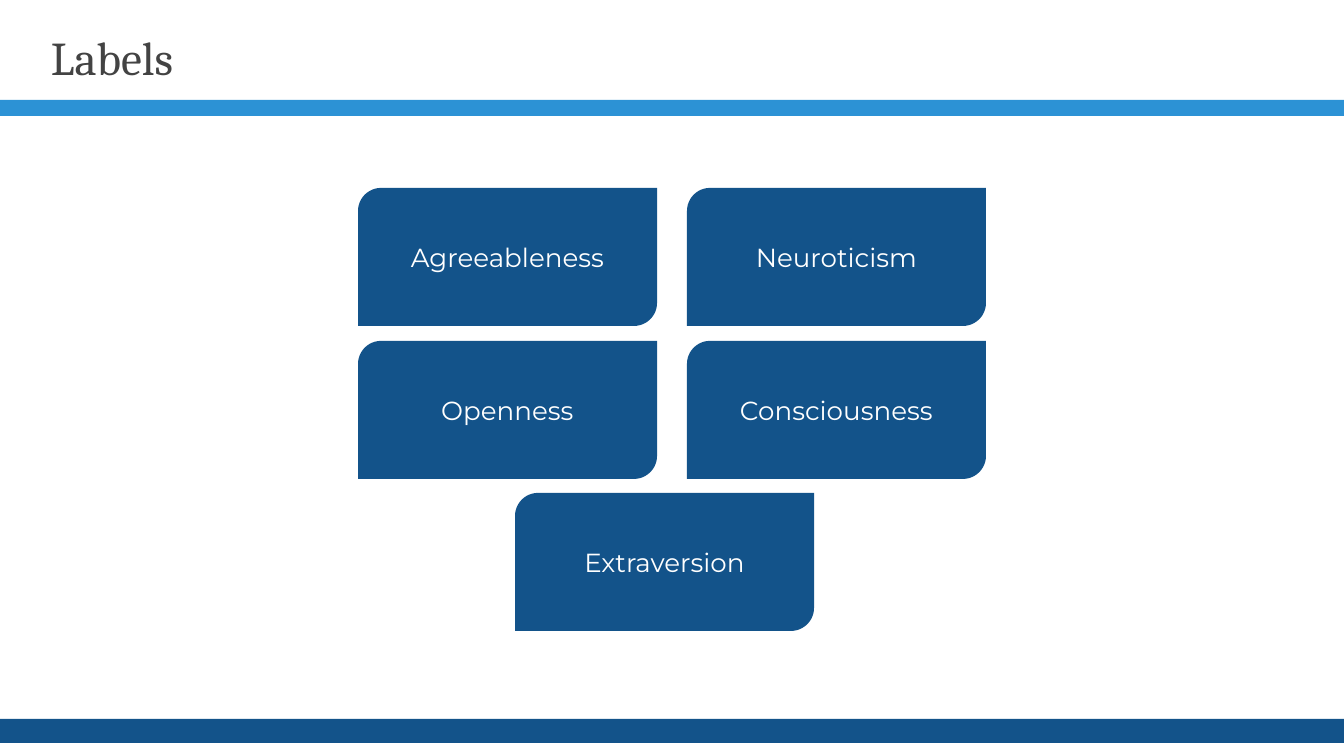
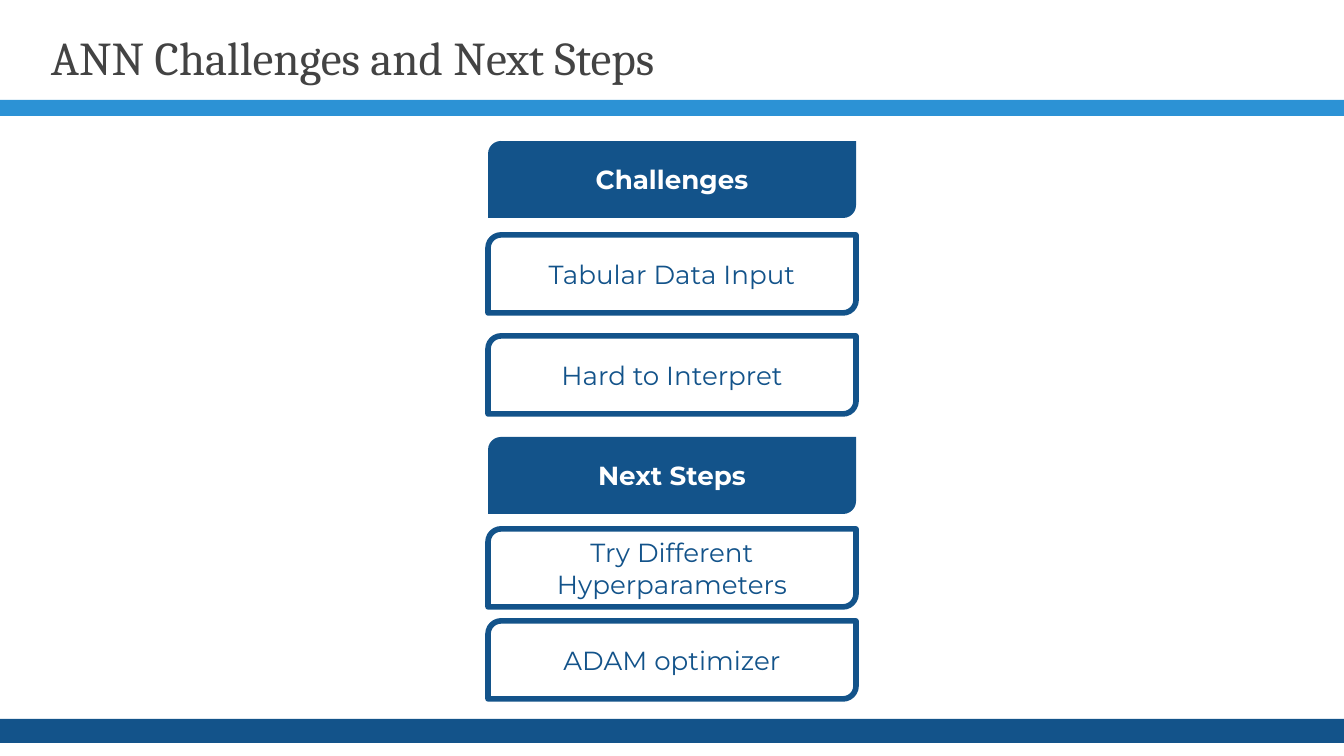
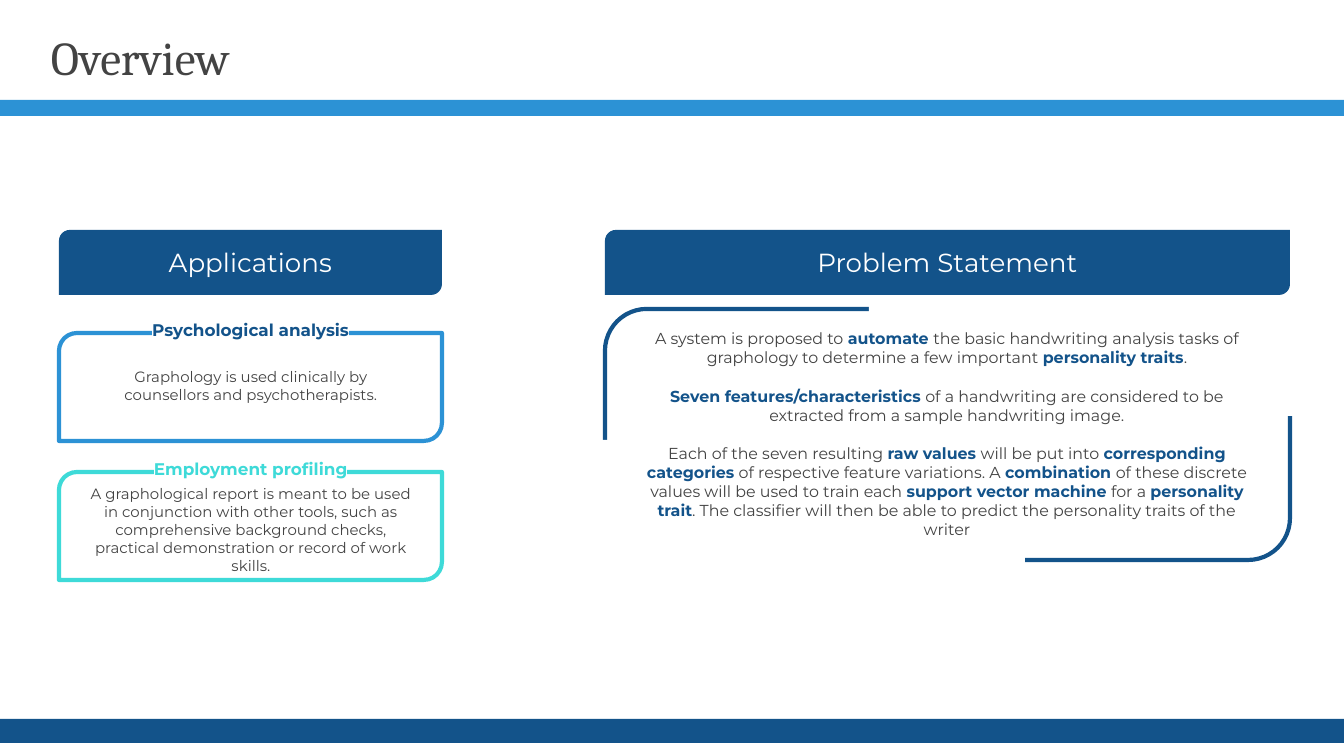
from dataclasses import dataclass
from itertools import product
from typing import Any

from lxml import etree
from pptx import Presentation
from pptx.dml.color import RGBColor
from pptx.enum.shapes import MSO_SHAPE
from pptx.enum.text import MSO_ANCHOR, MSO_AUTO_SIZE, PP_ALIGN
from pptx.oxml.ns import qn
from pptx.util import Emu, Pt

RECT = MSO_SHAPE.RECTANGLE
LEAF = MSO_SHAPE.ROUND_2_DIAG_RECTANGLE
MIDDLE = MSO_ANCHOR.MIDDLE
TOP = MSO_ANCHOR.TOP
LEFT = PP_ALIGN.LEFT
CENTER = PP_ALIGN.CENTER
GROW = MSO_AUTO_SIZE.SHAPE_TO_FIT_TEXT
FIXED = MSO_AUTO_SIZE.NONE

SCALE = 914400 / 134.4
WIDTH, HEIGHT = 1344, 756
INSET = 13
COLORS = {
    "navy": "13538A",
    "blue": "2C92D5",
    "aqua": "3EDAD8",
    "gray": "434343",
    "white": "FFFFFF",
}


@dataclass(frozen=True)
class Box:
    left: int
    top: int
    width: int
    height: int


@dataclass(frozen=True)
class Type:
    size: float
    color: str
    bold: bool = False
    font: str = "Montserrat"
    marked: bool = False
    align: Any = CENTER


@dataclass(frozen=True)
class Use:
    name: str
    text: str
    color: str
    ink: str
    top: int
    body: Box


TITLE = Type(25.2, "gray", font="Cambria", align=LEFT)
CARD = Type(14, "white")
HEAD = Type(14, "white", bold=True)
ITEM = Type(14, "navy")
NOTE = Type(8, "gray")
PROSE = Type(8.5, "gray")


def px(count: int) -> Emu:
    return Emu(round(count * SCALE))


def place(box: Box) -> tuple[Emu, Emu, Emu, Emu]:
    return px(box.left), px(box.top), px(box.width), px(box.height)


def paint(name: str) -> RGBColor:
    return RGBColor.from_string(COLORS[name])


def mark(run: Any) -> None:
    fill = run.font._element.find(qn("a:solidFill"))
    light = etree.Element(qn("a:highlight"))
    etree.SubElement(light, qn("a:srgbClr"), val=COLORS["white"])
    fill.addnext(light)


def write(shape: Any, lines: tuple[str, ...], style: Type,
          anchor: Any = TOP, fit: Any = FIXED, gap: float = 0) -> None:
    frame = shape.text_frame
    frame.word_wrap = True
    frame.auto_size = fit
    frame.vertical_anchor = anchor
    frame.margin_left = frame.margin_right = px(INSET)
    frame.margin_top = frame.margin_bottom = px(INSET)
    for index, line in enumerate(lines):
        para = frame.paragraphs[0] if index == 0 else frame.add_paragraph()
        para.alignment = style.align
        if index:
            para.space_before = Pt(gap)
        for part, words in enumerate(line.split("*")):
            if not words:
                continue
            strong = part % 2 == 1
            run = para.add_run()
            run.text = words
            run.font.name = style.font
            run.font.size = Pt(style.size)
            run.font.bold = style.bold or strong
            run.font.color.rgb = paint("navy" if strong else style.color)
            if style.marked:
                mark(run)


def draw(shapes: Any, kind: Any, box: Box, fill: str = "",
         line: str = "", weight: float = 0) -> Any:
    shape = shapes.add_shape(kind, *place(box))
    shape.shadow.inherit = False
    if fill:
        shape.fill.solid()
        shape.fill.fore_color.rgb = paint(fill)
    else:
        shape.fill.background()
    if line:
        shape.line.color.rgb = paint(line)
        shape.line.width = Pt(weight)
    else:
        shape.line.fill.background()
    return shape


def card(shapes: Any, box: Box, text: str, style: Type = CARD) -> None:
    write(draw(shapes, LEAF, box, fill="navy"), (text,), style, MIDDLE)


def label(shapes: Any, box: Box, lines: tuple[str, ...], style: Type,
          fit: Any = GROW, gap: float = 0) -> None:
    write(shapes.add_textbox(*place(box)), lines, style, fit=fit, gap=gap)


def start(deck: Any, title: str) -> Any:
    shapes = deck.slides.add_slide(deck.slide_layouts[6]).shapes
    draw(shapes, RECT, Box(0, 719, WIDTH, 24), fill="navy")
    draw(shapes, RECT, Box(0, 100, WIDTH, 16), fill="blue")
    label(shapes, Box(38, 16, 1253, 85), (title,), TITLE, FIXED)
    return shapes


def traits(deck: Any) -> None:
    shapes = start(deck, "Labels")
    names = ("Agreeableness", "Openness", "Neuroticism", "Consciousness")
    for name, (col, row) in zip(names, product(range(2), repeat=2)):
        card(shapes, Box(358 + 329 * col, 188 + 153 * row, 299, 138), name)
    card(shapes, Box(515, 493, 299, 138), "Extraversion")


def steps(deck: Any) -> None:
    shapes = start(deck, "ANN Challenges and Next Steps")
    parts = (
        ("Challenges", 141, ("Tabular Data Input", "Hard to Interpret"), 235, 101),
        ("Next Steps", 437, ("Try Different Hyperparameters", "ADAM optimizer"), 529, 92),
    )
    for head, top, items, first, pitch in parts:
        card(shapes, Box(488, top, 368, 77), head, HEAD)
        for row, item in enumerate(items):
            box = Box(488, first + pitch * row, 368, 78)
            shape = draw(shapes, LEAF, box, line="navy", weight=3)
            write(shape, (item,), ITEM, MIDDLE)


USES = (
    Use("Psychological analysis",
        "Graphology is used clinically by counsellors and psychotherapists.",
        "blue", "navy", 333, Box(77, 355, 348, 63)),
    Use("Employment profiling",
        "A graphological report is meant to be used in conjunction with other "
        "tools, such as comprehensive background checks, practical "
        "demonstration or record of work skills.",
        "aqua", "aqua", 472, Box(77, 472, 348, 118)),
)

AIMS = (
    "A system is proposed to *automate *the basic handwriting analysis tasks of "
    "graphology to determine a few important *personality traits*.",
    "*Seven features/characteristics *of a handwriting are considered to be "
    "extracted from a sample handwriting image.",
    "Each of the seven resulting *raw values *will be put into *corresponding "
    "categories* of respective feature variations. A *combination *of these "
    "discrete values will be used to train each *support vector machine* for a "
    "*personality trait*. The classifier will then be able to predict the "
    "personality traits of the writer",
)


def scope(deck: Any) -> None:
    shapes = start(deck, "Overview")
    card(shapes, Box(59, 230, 383, 65), "Applications")
    for use in USES:
        group = shapes.add_group_shape().shapes
        draw(group, LEAF, Box(59, use.top, 383, 108), line=use.color, weight=2.25)
        style = Type(9, use.ink, bold=True, marked=True)
        label(group, Box(106, use.top - 23, 289, 47), (use.name,), style)
        label(group, use.body, (use.text,), NOTE)
    draw(shapes, LEAF, Box(605, 309, 685, 251), line="navy", weight=2.25)
    for left, top in ((869, 250), (572, 440)):
        draw(shapes, RECT, Box(left, top, 453, 166), fill="white")
    card(shapes, Box(605, 230, 685, 65), "Problem Statement")
    label(shapes, Box(628, 316, 638, 239), AIMS, PROSE, gap=10.3)


def main() -> None:
    deck = Presentation()
    deck.slide_width, deck.slide_height = px(WIDTH), px(HEIGHT)
    for build in (traits, steps, scope):
        build(deck)
    deck.save("out.pptx")


if __name__ == "__main__":
    main()
